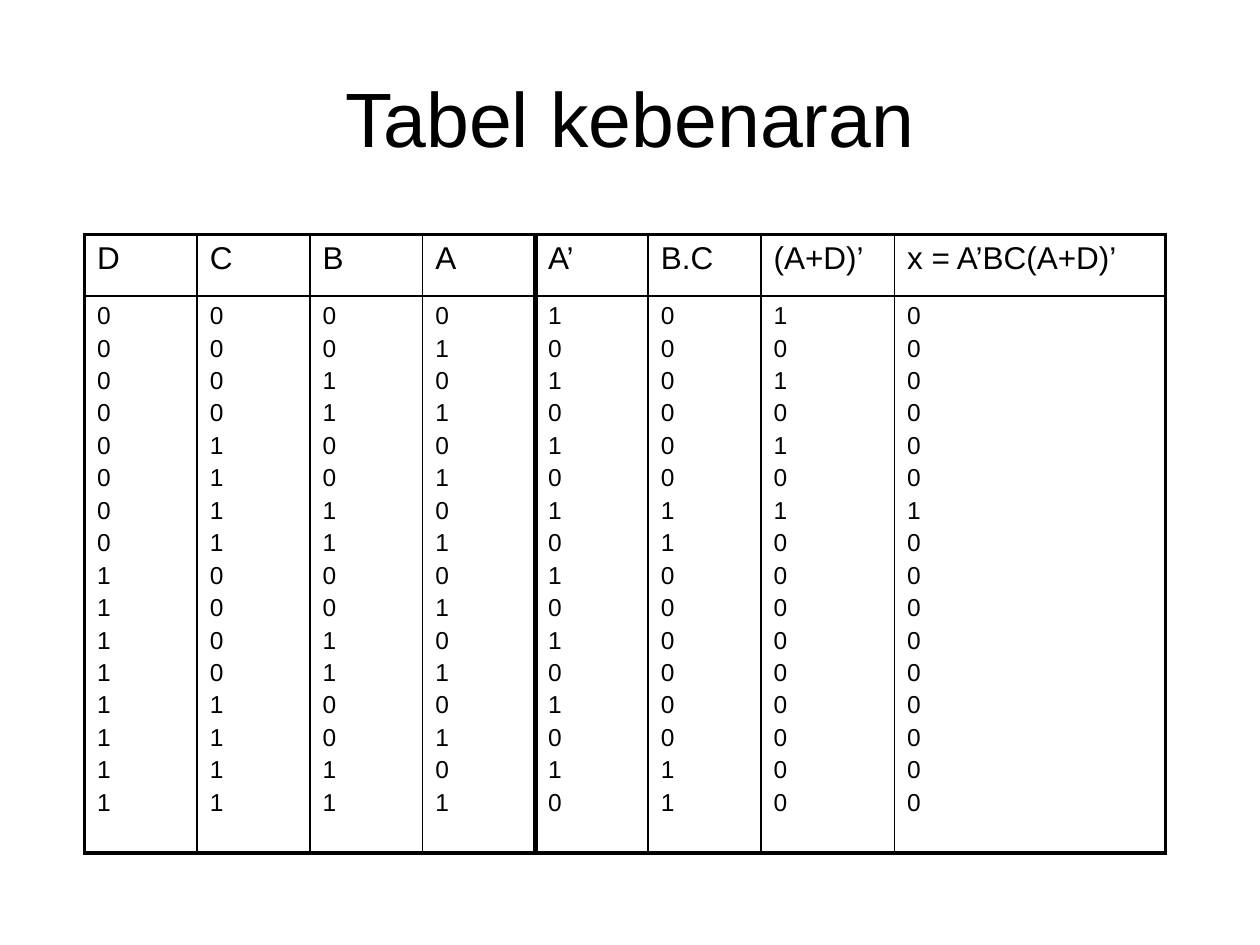
from itertools import product

from lxml import etree
from pptx import Presentation
from pptx import util as u
from pptx.dml.color import RGBColor
from pptx.enum import text
from pptx.oxml.ns import qn

BLACK = RGBColor(0x00, 0x00, 0x00)
FONT = "Arial"
THIN, OUTER, DIVIDER = 1, 2.25, 3
INPUT_COUNT = 4

HEADERS = ["D", "C", "B", "A", "A’", "B.C", "(A+D)’", "x = A’BC(A+D)’"]


def truth_rows():
    """Evaluate every column for all combinations of D, C, B and A."""
    for d, c, b, a in product((0, 1), repeat=INPUT_COUNT):
        not_a, b_and_c, nor = 1 - a, b & c, 1 - (a | d)
        yield d, c, b, a, not_a, b_and_c, nor, not_a & b_and_c & nor


def style_paragraph(paragraph, size):
    for run in paragraph.runs:
        run.font.name = FONT
        run.font.size = u.Pt(size)
        run.font.color.rgb = BLACK


def set_space_before(paragraph, percent):
    properties = paragraph._p.get_or_add_pPr()
    spacing = etree.SubElement(properties, qn("a:spcBef"))
    etree.SubElement(spacing, qn("a:spcPct"), val=str(percent * 1000))


def set_borders(cell, widths):
    """Draw the left, right, top and bottom borders, in that order."""
    properties = cell._tc.get_or_add_tcPr()
    for index, (side, width) in enumerate(zip("LRTB", widths)):
        line = etree.Element(qn(f"a:ln{side}"), w=str(u.Pt(width)))
        fill = etree.SubElement(line, qn("a:solidFill"))
        etree.SubElement(fill, qn("a:srgbClr"), val=str(BLACK))
        properties.insert(index, line)


def add_title(slide, left, top, width, height):
    shape = slide.shapes.add_textbox(left, top, width, height)
    frame = shape.text_frame
    frame.word_wrap = True
    frame.vertical_anchor = text.MSO_ANCHOR.MIDDLE
    frame.text = "Tabel kebenaran"
    paragraph = frame.paragraphs[0]
    paragraph.alignment = text.PP_ALIGN.CENTER
    style_paragraph(paragraph, 44)


def add_truth_table(slide, left, top, width, height):
    count = len(HEADERS)
    table = slide.shapes.add_table(2, count, left, top, width, height).table
    table.first_row = False
    table.horz_banding = False

    # The last two columns are wider; the others share the rest
    wide = [u.Inches(1.06), u.Inches(2.15)]
    narrow_count = count - len(wide)
    narrow = (width - sum(wide)) // narrow_count
    for column, column_width in zip(table.columns, [narrow] * narrow_count + wide):
        column.width = column_width
    header_height = u.Inches(0.49)
    table.rows[0].height = header_height
    table.rows[1].height = height - header_height

    # A heavier line separates inputs from outputs
    vertical = [THIN] * (count + 1)
    vertical[0] = vertical[-1] = OUTER
    vertical[INPUT_COUNT] = DIVIDER
    horizontal = [OUTER, THIN, OUTER]

    # Each body cell holds a whole column of values
    values = ["\n".join(map(str, column)) for column in zip(*truth_rows())]
    for row, (contents, size) in enumerate([(HEADERS, 18), (values, 14)]):
        for column, content in enumerate(contents):
            cell = table.cell(row, column)
            cell.fill.background()
            set_borders(cell, vertical[column:column + 2] + horizontal[row:row + 2])
            cell.text_frame.text = content
            for paragraph in cell.text_frame.paragraphs:
                set_space_before(paragraph, 20)
                style_paragraph(paragraph, size)


def main():
    presentation = Presentation()
    presentation.slide_width = u.Inches(10)
    presentation.slide_height = u.Inches(7.5)
    slide = presentation.slides.add_slide(presentation.slide_layouts[6])
    add_title(slide, u.Inches(0.5), u.Inches(0.3), u.Inches(9), u.Inches(1.25))
    add_truth_table(slide, u.Inches(0.67), u.Inches(1.86), u.Inches(8.58), u.Inches(4.67))
    presentation.save("out.pptx")


if __name__ == "__main__":
    main()
